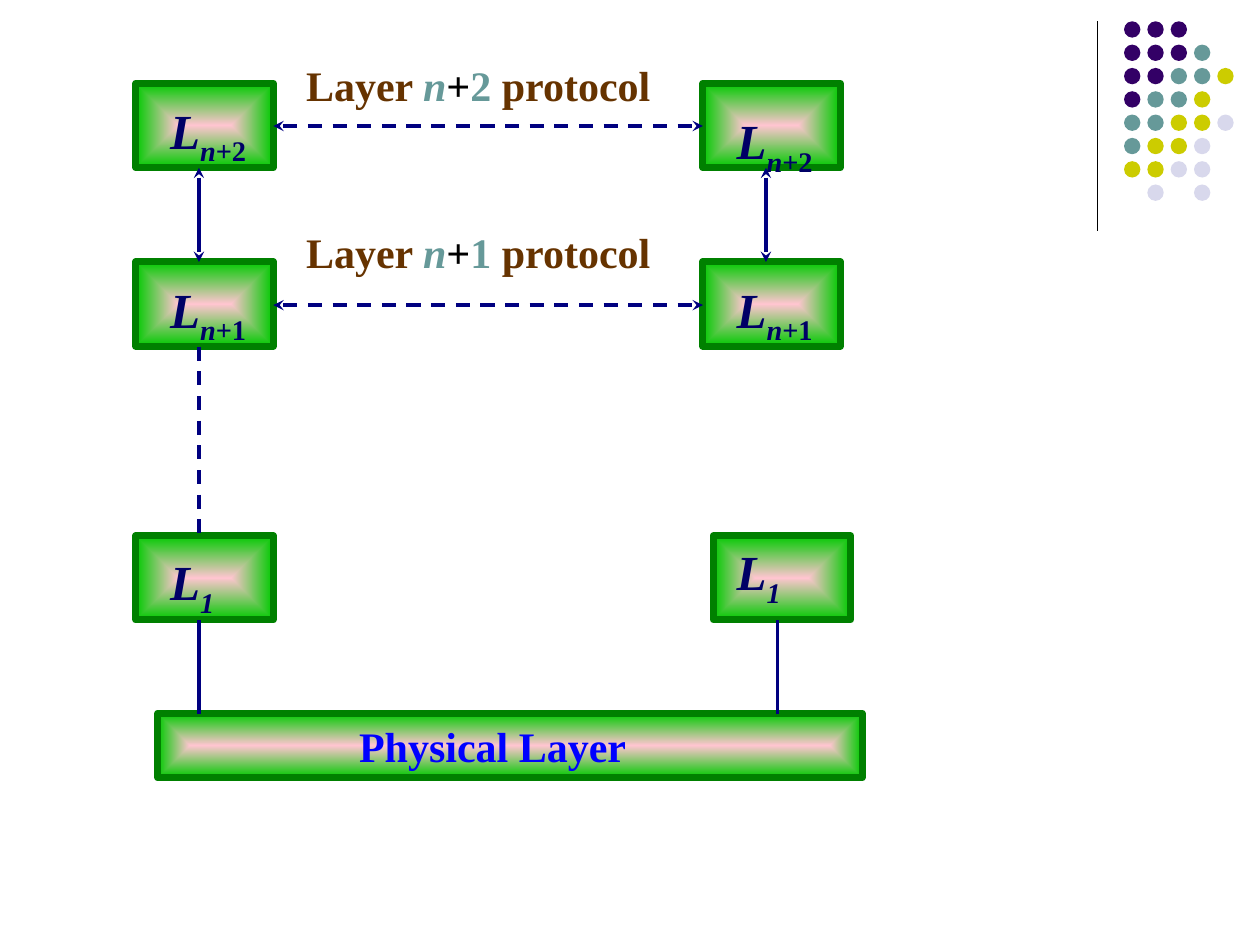
import pptx
import pptx.util
import pptx.dml.color
import pptx.enum.dml
import pptx.enum.shapes
import pptx.oxml
import pptx.oxml.ns
import lxml.etree

Cm = pptx.util.Cm
Pt = pptx.util.Pt
RGB = pptx.dml.color.RGBColor.from_string
SHAPE = pptx.enum.shapes.MSO_SHAPE
qn = pptx.oxml.ns.qn

COLORS = {
    "divider": "000000", "purple": "330066", "teal": "669999",
    "olive": "CCCC00", "pale": "D8D8EC", "core": "FFC5D0",
    "rim": "00CA00", "border": "008000", "link": "000080",
    "layer": "000066", "medium": "0000FF", "protocol": "663300",
}

deck = pptx.Presentation()
deck.slide_width, deck.slide_height = Cm(25.4), Cm(19.05)
slide = deck.slides.add_slide(deck.slide_layouts[6])


def add_line(start, end, color="link", width=2, dashed=False, arrows=False):
    link = slide.shapes.add_connector(
        pptx.enum.shapes.MSO_CONNECTOR.STRAIGHT, *map(Cm, start + end))
    link.line.color.rgb = RGB(COLORS[color])
    link.line.width = Pt(width)
    if dashed:
        link.line.dash_style = pptx.enum.dml.MSO_LINE.DASH
    if arrows:
        for tip in ("a:headEnd", "a:tailEnd"):
            lxml.etree.SubElement(link.line._get_or_add_ln(), qn(tip), type="stealth")
    lxml.etree.SubElement(link._element.spPr, qn("a:effectLst"))


def add_label(left, top, width, height, size, parts):
    label = slide.shapes.add_textbox(Cm(left), Cm(top), Cm(width), Cm(height))
    label.text_frame.word_wrap = True
    for text, color, italic, baseline in parts:
        run = label.text_frame.paragraphs[0].add_run()
        run.text = text
        style = {"name": "Times New Roman", "size": Pt(size), "bold": True, "italic": italic}
        for attribute, value in style.items():
            setattr(run.font, attribute, value)
        run.font.color.rgb = RGB(COLORS[color])
        if baseline:
            run._r.get_or_add_rPr().set("baseline", str(baseline))


add_line((22.12, 0.43), (22.12, 4.65), "divider", 0.75)

dot_colors = {"P": "purple", "T": "teal", "O": "olive", "L": "pale"}
dot_rows = ["PPP", "PPPT", "PPTTO", "PTTO", "TTOOL", "TOOL", "OOLL", " L L"]
for row, codes in enumerate(dot_rows):
    for column, code in enumerate(codes):
        if code in dot_colors:
            dot = slide.shapes.add_shape(
                SHAPE.OVAL, Cm(22.66 + 0.47 * column), Cm(0.43 + 0.47 * row),
                Cm(0.33), Cm(0.33))
            dot.shadow.inherit = False
            dot.fill.solid()
            dot.fill.fore_color.rgb = RGB(COLORS[dot_colors[code]])
            dot.line.fill.background()

layer_boxes = [
    (left, top, 2.77, 1.7)
    for left, top in [(2.74, 1.68), (2.74, 5.28), (2.74, 10.8),
                      (14.17, 1.68), (14.17, 5.28), (14.38, 10.8)]
]
physical_box = (3.18, 14.38, 14.2, 1.3)
for bounds in layer_boxes + [physical_box]:
    box = slide.shapes.add_shape(SHAPE.RECTANGLE, *map(Cm, bounds))
    box.shadow.inherit = False
    box.line.color.rgb = RGB(COLORS["border"])
    box.line.width = Pt(4)
    box.fill.gradient()
    for stop, (position, color) in zip(box.fill.gradient_stops, [(0, "core"), (1, "rim")]):
        stop.position = position
        stop.color.rgb = RGB(COLORS[color])
    gradient = box._element.spPr.find(qn("a:gradFill"))
    linear = gradient.find(qn("a:lin"))
    center = pptx.oxml.parse_xml(
        '<a:path xmlns:a="http://schemas.openxmlformats.org/drawingml/2006/main" path="rect">'
        '<a:fillToRect l="50000" t="50000" r="50000" b="50000"/></a:path>')
    gradient.replace(linear, center)

for y in (2.54, 6.15):
    add_line((5.51, y), (14.17, y), dashed=True, arrows=True)
for x in (4.01, 15.44):
    add_line((x, 3.38), (x, 5.28), arrows=True)
add_line((4.01, 6.99), (4.01, 10.8), dashed=True)
for x in (4.01, 15.67):
    add_line((x, 12.5), (x, 14.4))

layer_labels = [
    (3.18, 1.9, "2"), (3.18, 5.51, "1"), (14.6, 5.51, "1"),
    (14.6, 2.11, "2"), (14.6, 10.8, None), (3.18, 11, None),
]
for left, top, offset in layer_labels:
    if offset:
        subscript = [("n", "layer", True, -25000), ("+" + offset, "layer", False, -25000)]
    else:
        subscript = [("1", "layer", True, -25000)]
    add_label(left, top, 2.54, 1.6, 28, [("L", "layer", True, 0)] + subscript)

add_label(6.99, 14.4, 13.13, 1.27, 24, [("Physical Layer", "medium", False, 0)])
for top, offset in [(1.07, "2"), (4.45, "1")]:
    add_label(5.92, top, 13.13, 1.27, 24, [
        ("Layer ", "protocol", False, 0), ("n", "teal", True, 0),
        ("+", "divider", False, 0), (offset, "teal", False, 0),
        (" protocol", "protocol", False, 0)])

deck.save("out.pptx")
